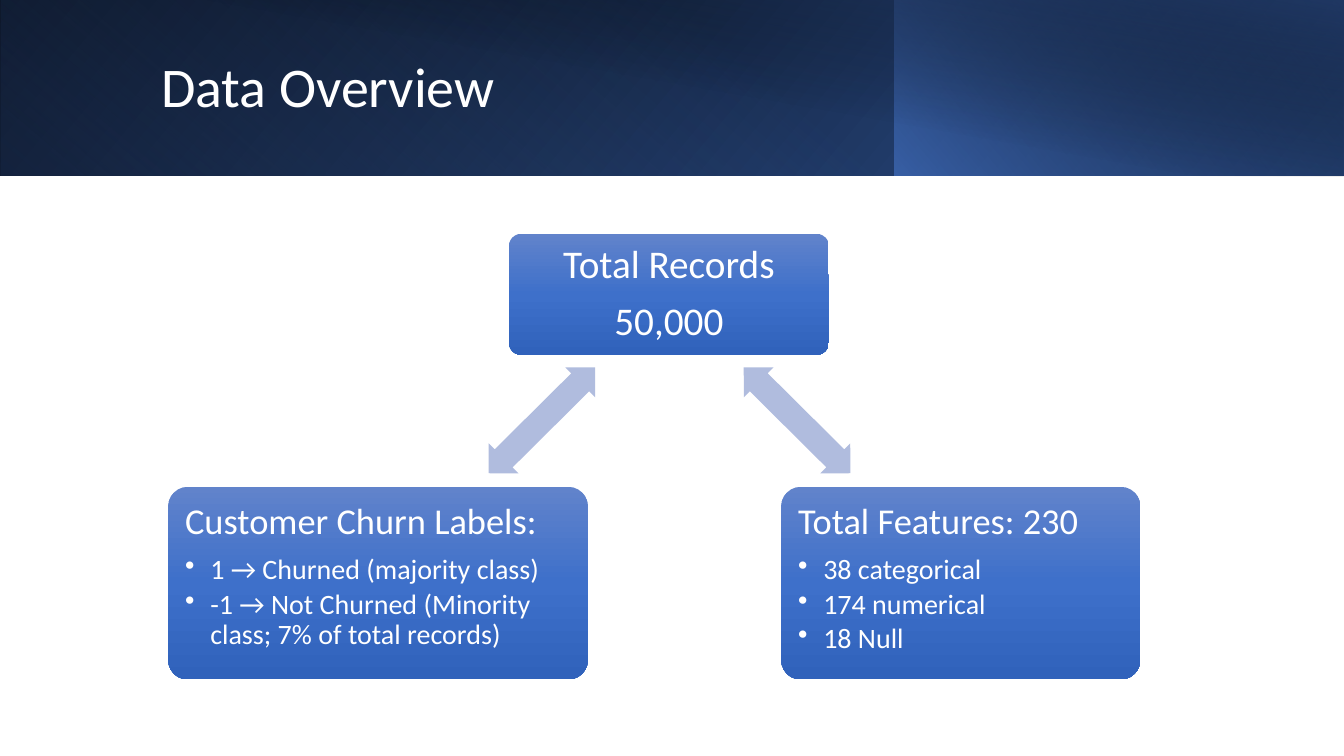
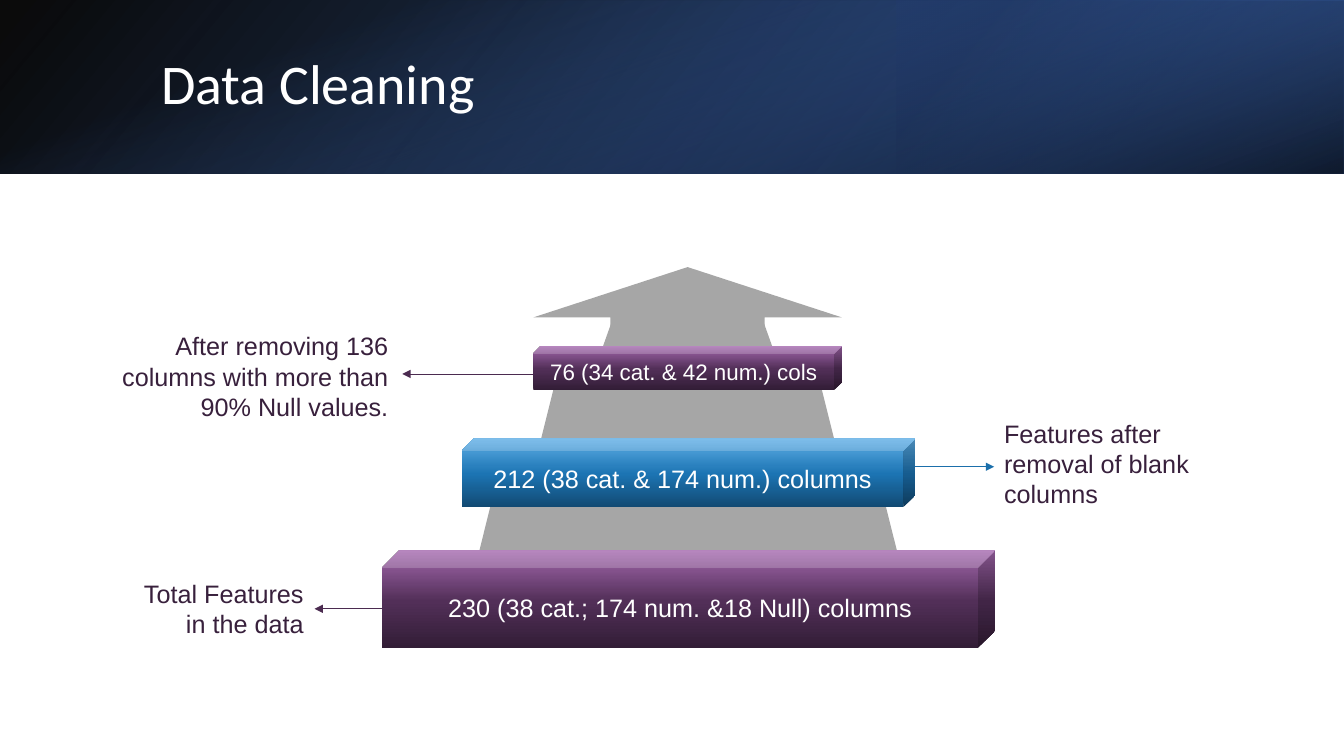
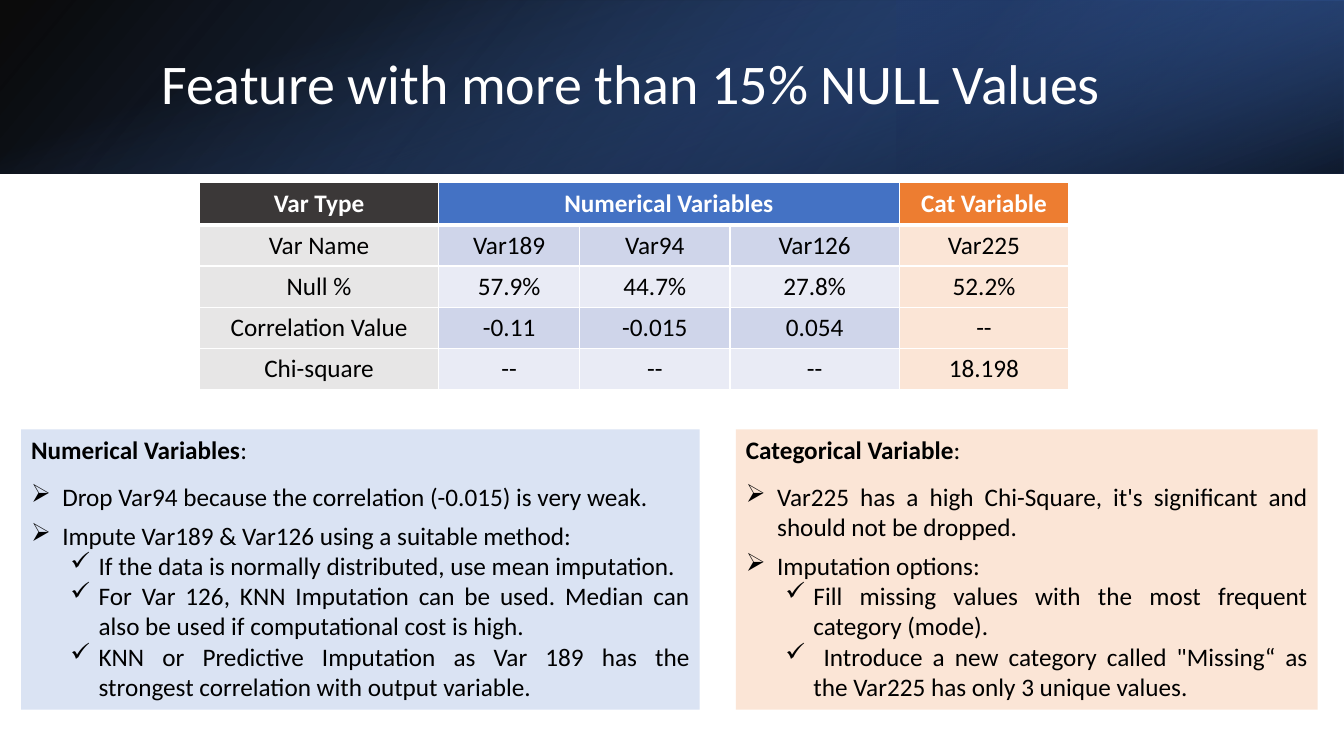
"""Build three slides on churn data: overview, cleaning and features with many null values."""
from dataclasses import dataclass
from typing import NamedTuple, Optional, Sequence, Union

from lxml import etree
from pptx import Presentation
from pptx.dml.color import RGBColor
from pptx.enum.shapes import MSO_CONNECTOR, MSO_SHAPE
from pptx.enum.text import MSO_ANCHOR, PP_ALIGN
from pptx.oxml.ns import qn
from pptx.shapes.autoshape import Shape
from pptx.slide import Slide
from pptx.table import _Cell
from pptx.text.text import TextFrame, _Paragraph
from pptx.util import Inches, Pt

RECTANGLE = MSO_SHAPE.RECTANGLE
ROUNDED = MSO_SHAPE.ROUNDED_RECTANGLE
DOUBLE_ARROW = MSO_SHAPE.LEFT_RIGHT_ARROW
UP_ARROW = MSO_SHAPE.UP_ARROW
TRAPEZOID = MSO_SHAPE.TRAPEZOID
CUBE = MSO_SHAPE.CUBE
LEFT, CENTER, RIGHT, JUSTIFY = PP_ALIGN.LEFT, PP_ALIGN.CENTER, PP_ALIGN.RIGHT, PP_ALIGN.JUSTIFY
TOP, MIDDLE = MSO_ANCHOR.TOP, MSO_ANCHOR.MIDDLE


@dataclass(frozen=True)
class Theme:
    body_font: str = "Calibri"
    diagram_font: str = "Arial"
    white: str = "FFFFFF"
    black: str = "000000"
    blue: str = "4472C4"
    deep_blue: str = "2F5597"
    navy: str = "203864"
    orange: str = "ED7D31"
    charcoal: str = "3B3838"
    row_label: str = "E7E6E6"
    row_dark: str = "CFD5EA"
    row_light: str = "E9EBF5"
    pale_blue: str = "DAE3F3"
    pale_orange: str = "FBE5D6"
    link_arrow: str = "B0BCDE"
    tower: str = "A6A6A6"
    plum_line: str = "4B2B50"
    blue_line: str = "1B6FAB"
    label: str = "38203C"
    title_size: int = 40
    total_size: int = 28
    card_size: int = 26
    item_size: int = 20
    body_size: int = 18
    small_size: int = 16


THEME = Theme()


class Box(NamedTuple):
    left: float
    top: float
    width: float
    height: float


class Stop(NamedTuple):
    position: int
    color: str
    opacity: int = 100


class Gradient(NamedTuple):
    angle: int
    stops: Sequence[Stop]


Paint = Union[str, Gradient]


class Band(NamedTuple):
    box: Box
    gradient: Gradient
    rotation: int = 0
    flipped: bool = False


class Header(NamedTuple):
    title_box: Box
    bands: Sequence[Band]


@dataclass(frozen=True)
class Line:
    text: str
    size: int = THEME.body_size
    bold: bool = False
    suffix: str = ""
    bullet: str = ""
    margin: float = 0
    hanging: float = 0
    after: float = 0


@dataclass(frozen=True)
class TextStyle:
    color: str
    font: str = THEME.body_font
    align: PP_ALIGN = LEFT
    anchor: MSO_ANCHOR = MIDDLE
    spacing: Optional[float] = None
    inset: Optional[float] = None


class Card(NamedTuple):
    box: Box
    style: TextStyle
    lines: Sequence[Line]


class Tier(NamedTuple):
    box: Box
    paint: Gradient
    line: Line


class Callout(NamedTuple):
    box: Box
    text: str
    align: PP_ALIGN
    start: float
    end: float
    height: float
    color: str


class Note(NamedTuple):
    box: Box
    color: str
    lines: Sequence[Line]


OVERVIEW_HEADER = Header(Box(1.5, 0.32, 10.82, 1.13), (
    Band(Box(0, 0, 13.33, 1.74),
         Gradient(140, (Stop(0, THEME.black), Stop(100, THEME.deep_blue))), flipped=True),
    Band(Box(0, 0, 8.88, 1.74),
         Gradient(230, (Stop(20, THEME.blue, 0), Stop(100, THEME.navy, 55))), 180, True),
    Band(Box(8.87, 0, 4.46, 1.74),
         Gradient(220, (Stop(0, THEME.blue, 66), Stop(100, THEME.black, 30))), flipped=True),
    Band(Box(0.5, 0, 12.83, 1.75),
         Gradient(280, (Stop(50, THEME.black, 0), Stop(99, THEME.navy, 52)))),
))
DETAIL_HEADER = Header(Box(1.5, 0.38, 10.98, 0.96), (
    Band(Box(0, 0, 13.33, 1.72),
         Gradient(140, (Stop(0, THEME.black, 96), Stop(100, THEME.deep_blue))), flipped=True),
    Band(Box(8.89, 0, 4.44, 1.72),
         Gradient(320, (Stop(19, THEME.navy, 68), Stop(100, THEME.blue, 79))), 180, True),
    Band(Box(5.8, -5.8, 1.72, 13.33),
         Gradient(340, (Stop(23, THEME.blue, 0), Stop(99, THEME.black, 74))), 90),
))
CARD_PAINT = Gradient(90, (Stop(0, "6183CB"), Stop(50, "3E70CA"), Stop(100, "3062BB")))
PLUM_PAINT = Gradient(270, (Stop(0, "321D36"), Stop(48, "522F58"), Stop(100, "A468AE")))
BLUE_PAINT = Gradient(270, (Stop(0, "124A73"), Stop(48, "1C74B3"), Stop(100, "5DADE5")))

TITLE_STYLE = TextStyle(THEME.white, spacing=0.9)
TOTAL_STYLE = TextStyle(THEME.white, align=CENTER, spacing=0.9, inset=0.12)
CARD_STYLE = TextStyle(THEME.white, anchor=TOP, spacing=0.9, inset=0.11)
TIER_STYLE = TextStyle(THEME.white, THEME.diagram_font, CENTER)
NOTE_STYLE = TextStyle(THEME.black, align=JUSTIFY, anchor=TOP)


def paint_shape(shape: Shape, paint: Paint) -> None:
    if isinstance(paint, str):
        shape.fill.solid()
        shape.fill.fore_color.rgb = RGBColor.from_string(paint)
        return
    shape.fill.gradient()
    shape.fill.gradient_angle = 360 - paint.angle
    stop_list = shape.element.spPr.find(qn("a:gradFill")).find(qn("a:gsLst"))
    for default_stop in list(stop_list):
        stop_list.remove(default_stop)
    for stop in paint.stops:
        element = etree.SubElement(stop_list, qn("a:gs"), pos=str(stop.position * 1000))
        color = etree.SubElement(element, qn("a:srgbClr"), val=stop.color)
        if stop.opacity < 100:
            etree.SubElement(color, qn("a:alpha"), val=str(stop.opacity * 1000))


def add_figure(slide: Slide, kind: MSO_SHAPE, box: Box, paint: Paint,
               adjustments: Sequence[float] = (), rotation: float = 0) -> Shape:
    shape = slide.shapes.add_shape(kind, *map(Inches, box))
    shape.shadow.inherit = False
    shape.line.fill.background()
    shape.rotation = rotation
    for index, value in enumerate(adjustments):
        shape.adjustments[index] = value
    paint_shape(shape, paint)
    return shape


def add_bullet(paragraph: _Paragraph, line: Line) -> None:
    properties = paragraph._p.get_or_add_pPr()
    properties.set("marL", str(Inches(line.margin)))
    properties.set("indent", str(-Inches(line.hanging)))
    etree.SubElement(properties, qn("a:buChar"), char=line.bullet)


def write_text(frame: TextFrame, lines: Sequence[Line], style: TextStyle) -> None:
    frame.word_wrap = True
    frame.vertical_anchor = style.anchor
    if style.inset is not None:
        frame.margin_left = frame.margin_right = Inches(style.inset)
        frame.margin_top = frame.margin_bottom = Inches(style.inset)
    frame.text = "\n".join(line.text for line in lines)
    for paragraph, line in zip(frame.paragraphs, lines):
        if line.bullet:
            add_bullet(paragraph, line)
        paragraph.alignment = style.align
        paragraph.space_after = Pt(line.after)
        if style.spacing:
            paragraph.line_spacing = style.spacing
        if line.suffix:
            paragraph.add_run().text = line.suffix
        for index, run in enumerate(paragraph.runs):
            run.font.name = style.font
            run.font.size = Pt(line.size)
            run.font.bold = line.bold and index == 0
            run.font.color.rgb = RGBColor.from_string(style.color)


def add_label(slide: Slide, box: Box, line: Line, style: TextStyle) -> None:
    label = slide.shapes.add_textbox(*map(Inches, box))
    write_text(label.text_frame, [line], style)


def add_arrow(slide: Slide, start: float, end: float, height: float, color: str) -> None:
    arrow = slide.shapes.add_connector(
        MSO_CONNECTOR.STRAIGHT, Inches(start), Inches(height), Inches(end), Inches(height))
    arrow.line.width = Pt(0.5)
    arrow.line.color.rgb = RGBColor.from_string(color)
    properties = arrow._element.spPr
    etree.SubElement(properties.find(qn("a:ln")), qn("a:tailEnd"), type="triangle")
    etree.SubElement(properties, qn("a:effectLst"))


def add_slide(presentation: Presentation, title: str, header: Header) -> Slide:
    slide = presentation.slides.add_slide(presentation.slide_layouts[6])
    for band in header.bands:
        shape = add_figure(slide, RECTANGLE, band.box, band.gradient, rotation=band.rotation)
        if band.flipped:
            shape.element.spPr.xfrm.set("flipH", "1")
    add_label(slide, header.title_box, Line(title, THEME.title_size, after=6), TITLE_STYLE)
    return slide


def card_item(text: str) -> Line:
    return Line(text, THEME.item_size, bullet="•", margin=0.25, hanging=0.25, after=3)


def build_overview(presentation: Presentation) -> None:
    slide = add_slide(presentation, "Data Overview", OVERVIEW_HEADER)
    cards = (
        Card(Box(5.05, 2.32, 3.17, 1.2), TOTAL_STYLE, (
            Line("Total Records", THEME.total_size, after=9.8),
            Line("50,000", THEME.total_size, after=9.8))),
        Card(Box(7.75, 4.83, 3.56, 1.91), CARD_STYLE, (
            Line("Total Features: 230", THEME.card_size, after=9.1),
            card_item("38 categorical"),
            card_item("174 numerical"),
            card_item("18 Null"))),
        Card(Box(1.67, 4.83, 4.16, 1.91), CARD_STYLE, (
            Line("Customer Churn Labels:", THEME.card_size, after=9.1),
            card_item("1 → Churned (majority class)"),
            card_item("-1 → Not Churned (Minority class; 7% of total records)"))),
    )
    for card in cards:
        shape = add_figure(slide, ROUNDED, card.box, CARD_PAINT, (0.1,))
        write_text(shape.text_frame, card.lines, card.style)
    for left, rotation in ((7.16, 44.8), (4.63, 315.2)):
        add_figure(slide, DOUBLE_ARROW, Box(left, 3.96, 1.49, 0.42), THEME.link_arrow,
                   (0.6, 0.5), rotation)


def build_cleaning(presentation: Presentation) -> None:
    slide = add_slide(presentation, "Data Cleaning", DETAIL_HEADER)
    tower_parts = (
        (UP_ARROW, Box(5.29, 2.65, 3.06, 0.87), (0.5, 0.574)),
        (TRAPEZOID, Box(5.89, 3.2, 1.86, 0.49), (0.356,)),
        (TRAPEZOID, Box(5.29, 3.87, 3.06, 0.79), ()),
        (TRAPEZOID, Box(4.7, 5.03, 4.25, 0.65), ()),
    )
    for kind, box, adjustments in tower_parts:
        add_figure(slide, kind, box, THEME.tower, adjustments)
    tiers = (
        Tier(Box(3.79, 5.46, 6.08, 0.97), PLUM_PAINT,
             Line("230 (38 cat.; 174 num. &18 Null) columns")),
        Tier(Box(4.58, 4.35, 4.5, 0.68), BLUE_PAINT,
             Line("212 (38 cat. & 174 num.) columns")),
        Tier(Box(5.29, 3.43, 3.06, 0.44), PLUM_PAINT,
             Line("76 (34 cat. & 42 num.) cols", THEME.small_size)),
    )
    for tier in tiers:
        shape = add_figure(slide, CUBE, tier.box, tier.paint, (0.177,))
        write_text(shape.text_frame, [tier.line], TIER_STYLE)
    callouts = (
        Callout(Box(0.93, 3.2, 3.02, 1.06),
                "After removing 136 columns with more than 90% Null values.",
                RIGHT, 5.29, 3.99, 3.71, THEME.plum_line),
        Callout(Box(9.86, 4.13, 2.62, 0.94), "Features after removal of blank columns",
                LEFT, 9.08, 9.86, 4.63, THEME.blue_line),
        Callout(Box(1.1, 5.76, 2.01, 0.56), "Total Features in the data",
                RIGHT, 3.79, 3.12, 6.04, THEME.plum_line),
    )
    for callout in callouts:
        add_arrow(slide, callout.start, callout.end, callout.height, callout.color)
        add_label(slide, callout.box, Line(callout.text),
                  TextStyle(THEME.label, THEME.diagram_font, callout.align))


def set_borders(cell: _Cell, top: float, bottom: float) -> None:
    properties = cell._tc.get_or_add_tcPr()
    widths = {"a:lnL": 1, "a:lnR": 1, "a:lnT": top, "a:lnB": bottom}
    for index, (tag, width) in enumerate(widths.items()):
        border = etree.Element(qn(tag), w=str(Pt(width)))
        fill = etree.SubElement(border, qn("a:solidFill"))
        etree.SubElement(fill, qn("a:srgbClr"), val=THEME.white)
        properties.insert(index, border)


def add_variable_table(slide: Slide) -> None:
    rows = (
        ("Var Type", "Numerical Variables", "", "", "Cat Variable"),
        ("Var Name", "Var189", "Var94", "Var126", "Var225"),
        ("Null %", "57.9%", "44.7%", "27.8%", "52.2%"),
        ("Correlation Value", "-0.11", "-0.015", "0.054", "--"),
        ("Chi-square", "--", "--", "--", "18.198"),
    )
    column_widths = (2.37, 1.4, 1.49, 1.68, 1.68)
    row_heights = (0.42,) + (0.41,) * 4
    box = Box(1.98, 1.81, sum(column_widths), sum(row_heights))
    table = slide.shapes.add_table(len(rows), len(column_widths), *map(Inches, box)).table
    table.horz_banding = False
    for column, width in zip(table.columns, column_widths):
        column.width = Inches(width)
    for row, height in zip(table.rows, row_heights):
        row.height = Inches(height)
    table.cell(0, 1).merge(table.cell(0, 3))
    for row_index, texts in enumerate(rows):
        heading = row_index == 0
        style = TextStyle(THEME.white if heading else THEME.black, align=CENTER)
        banded = THEME.row_dark if row_index % 2 else THEME.row_light
        first, middle, last = (
            (THEME.charcoal, THEME.blue, THEME.orange) if heading
            else (THEME.row_label, banded, THEME.pale_orange))
        for column_index, color in enumerate((first, middle, middle, middle, last)):
            cell = table.cell(row_index, column_index)
            cell.fill.solid()
            cell.fill.fore_color.rgb = RGBColor.from_string(color)
            set_borders(cell, 3 if row_index == 1 else 1, 3 if heading else 1)
            cell.vertical_anchor = MIDDLE
            if not cell.is_spanned:
                write_text(cell.text_frame, [Line(texts[column_index], bold=heading)], style)


def note_heading(text: str) -> Line:
    return Line(text, bold=True, suffix=":", after=12)


def note_point(text: str, after: float = 0) -> Line:
    return Line(text, bullet="➢", margin=0.31, hanging=0.31, after=after)


def note_check(text: str) -> Line:
    return Line(text, bullet="✓", margin=0.67, hanging=0.28)


def build_null_features(presentation: Presentation) -> None:
    slide = add_slide(presentation, "Feature with more than 15% NULL Values", DETAIL_HEADER)
    add_variable_table(slide)
    notes = (
        Note(Box(0.21, 4.26, 6.73, 2.78), THEME.pale_blue, (
            note_heading("Numerical Variables"),
            note_point("Drop Var94 because the correlation (-0.015) is very weak.", 6),
            note_point("Impute Var189 & Var126 using a suitable method:"),
            note_check("If the data is normally distributed, use mean imputation."),
            note_check("For Var 126, KNN Imputation can be used. Median can also be used "
                       "if computational cost is high."),
            note_check("KNN or Predictive Imputation as Var 189 has the strongest "
                       "correlation with output variable."))),
        Note(Box(7.3, 4.26, 5.77, 2.78), THEME.pale_orange, (
            note_heading("Categorical Variable"),
            note_point("Var225 has a high Chi-Square, it's significant and should not be "
                       "dropped.", 6),
            note_point("Imputation options:"),
            note_check("Fill missing values with the most frequent category (mode)."),
            note_check(" Introduce a new category called \"Missing“ as the Var225 has only "
                       "3 unique values."))),
    )
    for note in notes:
        shape = add_figure(slide, RECTANGLE, note.box, note.color)
        write_text(shape.text_frame, note.lines, NOTE_STYLE)


def main() -> None:
    presentation = Presentation()
    presentation.slide_width = Inches(13.33)
    presentation.slide_height = Inches(7.5)
    build_overview(presentation)
    build_cleaning(presentation)
    build_null_features(presentation)
    presentation.save("out.pptx")


if __name__ == "__main__":
    main()
